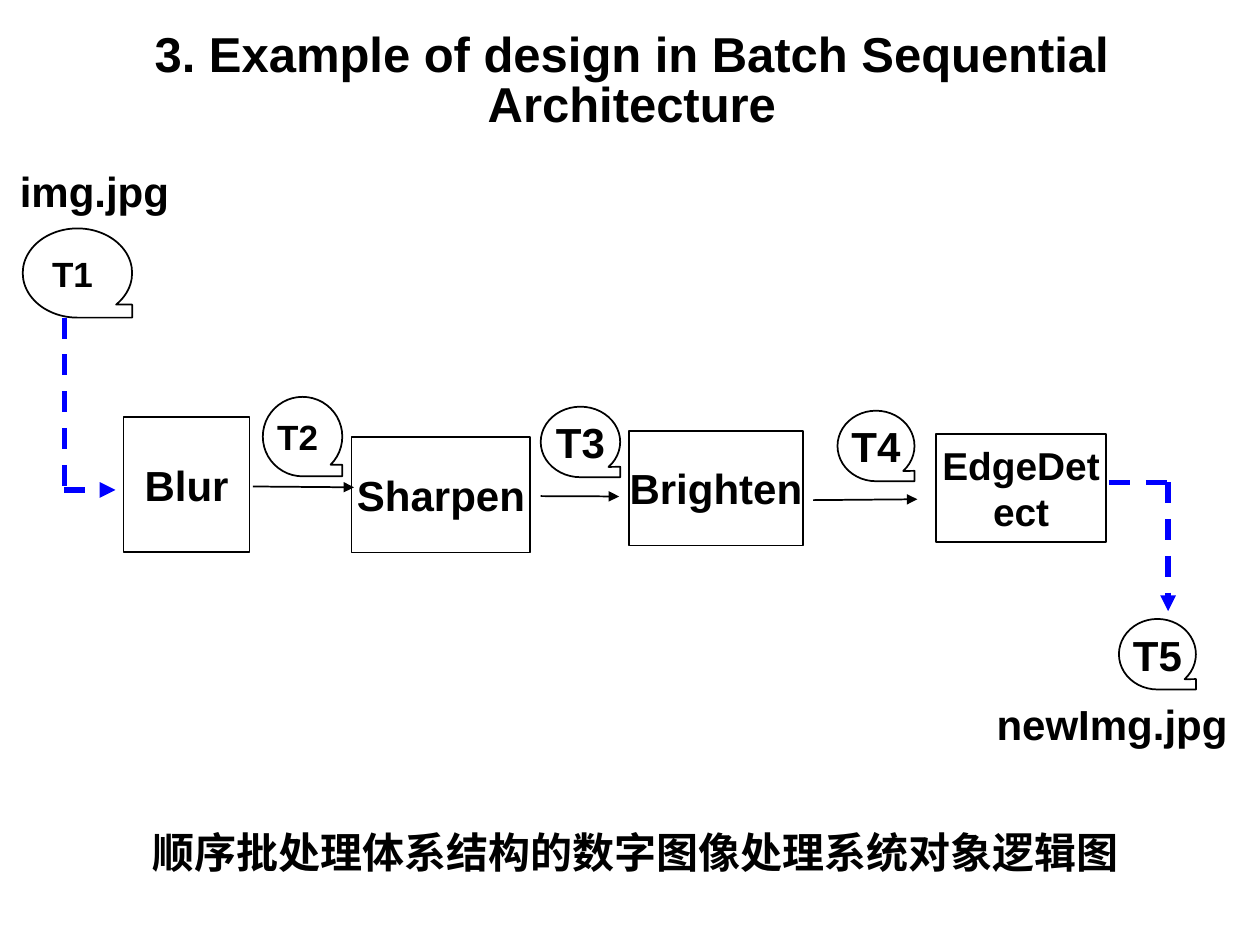
from dataclasses import dataclass

from lxml.etree import SubElement
from pptx import Presentation
from pptx.dml.color import RGBColor
from pptx.enum.dml import MSO_LINE
from pptx.enum.shapes import MSO_CONNECTOR, MSO_SHAPE
from pptx.enum.text import MSO_ANCHOR, PP_ALIGN
from pptx.oxml.ns import qn
from pptx.util import Pt


@dataclass(frozen=True)
class Theme:
    ink: RGBColor = RGBColor(0, 0, 0)
    paper: RGBColor = RGBColor(255, 255, 255)
    flow: RGBColor = RGBColor(0, 0, 255)
    font: str = "Arial"
    chinese_font: str = "Noto Sans CJK SC"
    title: float = 28
    label: float = 24
    long_label: float = 22.2
    small_label: float = 20
    thin: float = 1
    thick: float = 3


THEME = Theme()

# Label, (left, top, width, height), type size
STEPS = [
    ("Blur", (70.6, 238.3, 72, 77), THEME.label),
    ("Sharpen", (200.9, 249.8, 102.2, 66), THEME.label),
    ("Brighten", (359.3, 246.2, 99.6, 65.6), THEME.label),
    ("EdgeDetect", (535, 247.8, 97, 62), THEME.long_label),
]
TAPES = [
    ("T1 ", (13, 130.5, 62.5, 51), THEME.small_label),
    ("T2 ", (150.2, 226.8, 45.4, 45.4), THEME.small_label),
    ("T3 ", (309, 232.4, 45.4, 40.3), THEME.label),
    ("T4 ", (478.6, 234.7, 44, 40.3), THEME.label),
    ("T5 ", (639.4, 353.7, 44, 40.3), THEME.label),
]
STEP_ARROWS = [
    ((144.5, 278), (202.3, 278.5)),
    ((309, 283.5), (353.8, 283.7)),
    ((464.6, 285.8), (524.2, 285.3)),
]
# Start, end, whether the line carries an arrowhead
INPUT_PATH = [
    ((36.8, 280), (66, 280), True),
    ((36.8, 181.5), (36.8, 278), False),
]
OUTPUT_PATH = [
    ((633.8, 275.6), (667.5, 275.6), False),
    ((667.5, 275.6), (667.5, 349.2), True),
]


def write_text(shape, text, size, align=PP_ALIGN.CENTER, anchor=MSO_ANCHOR.TOP,
               margins=(0, 0), wrap=True, font_name=THEME.font, line_spacing=None):
    """Fill a shape with one paragraph; margins are horizontal, vertical."""
    frame = shape.text_frame
    frame.word_wrap = wrap
    frame.vertical_anchor = anchor
    frame.margin_left = frame.margin_right = Pt(margins[0])
    frame.margin_top = frame.margin_bottom = Pt(margins[1])
    paragraph = frame.paragraphs[0]
    paragraph.alignment = align
    if line_spacing:
        paragraph.line_spacing = line_spacing
    run = paragraph.add_run()
    run.text = text
    run.font.name = font_name
    run.font.size = Pt(size)
    run.font.bold = True
    run.font.color.rgb = THEME.ink
    if font_name == THEME.chinese_font:
        SubElement(run.font._element, qn("a:ea"), typeface=font_name)


def add_node(slide, kind, text, box, size, margins=(0, 0)):
    """Add an outlined white shape with a centred label."""
    shape = slide.shapes.add_shape(kind, *map(Pt, box))
    shape.shadow.inherit = False
    shape.fill.solid()
    shape.fill.fore_color.rgb = THEME.paper
    shape.line.color.rgb = THEME.ink
    shape.line.width = Pt(THEME.thin)
    write_text(shape, text, size, anchor=MSO_ANCHOR.MIDDLE, margins=margins)


def add_label(slide, text, box, size, **options):
    write_text(slide.shapes.add_textbox(*map(Pt, box)), text, size, **options)


def add_line(shapes, start, end, color, width, arrow=True, dashed=False):
    connector = shapes.add_connector(
        MSO_CONNECTOR.STRAIGHT, *map(Pt, start + end))
    connector.line.color.rgb = color
    connector.line.width = Pt(width)
    if dashed:
        connector.line.dash_style = MSO_LINE.DASH
    if arrow:
        SubElement(connector.line._get_or_add_ln(), qn("a:tailEnd"), type="triangle")
    SubElement(connector._element.spPr, qn("a:effectLst"))


def add_dashed_path(slide, segments):
    group = slide.shapes.add_group_shape()
    for start, end, arrow in segments:
        add_line(group.shapes, start, end, THEME.flow, THEME.thick, arrow, dashed=True)


def main():
    presentation = Presentation()
    presentation.slide_width, presentation.slide_height = Pt(720), Pt(540)
    slide = presentation.slides.add_slide(presentation.slide_layouts[6])

    for text, box, size in STEPS:
        add_node(slide, MSO_SHAPE.RECTANGLE, text, box, size, margins=(0, 4))
    for start, end in STEP_ARROWS:
        add_line(slide.shapes, start, end, THEME.ink, THEME.thin)
    for text, box, size in TAPES:
        add_node(slide, MSO_SHAPE.FLOWCHART_SEQUENTIAL_ACCESS_STORAGE, text, box, size)
    for segments in (INPUT_PATH, OUTPUT_PATH):
        add_dashed_path(slide, segments)

    add_label(slide, "img.jpg", (2.9, 94.3, 102.2, 33.8), THEME.label)
    add_label(slide, "newImg.jpg", (569.5, 398.9, 141.8, 36), THEME.label,
              align=PP_ALIGN.JUSTIFY)
    add_label(slide, "顺序批处理体系结构的数字图像处理系统对象逻辑图",
              (79.9, 468.7, 571.7, 36), THEME.label, align=PP_ALIGN.LEFT,
              anchor=MSO_ANCHOR.MIDDLE, margins=(7.2, 3.6), wrap=False,
              font_name=THEME.chinese_font)
    add_label(slide, "3. Example of design in Batch Sequential Architecture",
              (28, 15.1, 666, 64.8), THEME.title, margins=(7.2, 3.6),
              line_spacing=0.85)
    presentation.save("out.pptx")


if __name__ == "__main__":
    main()
